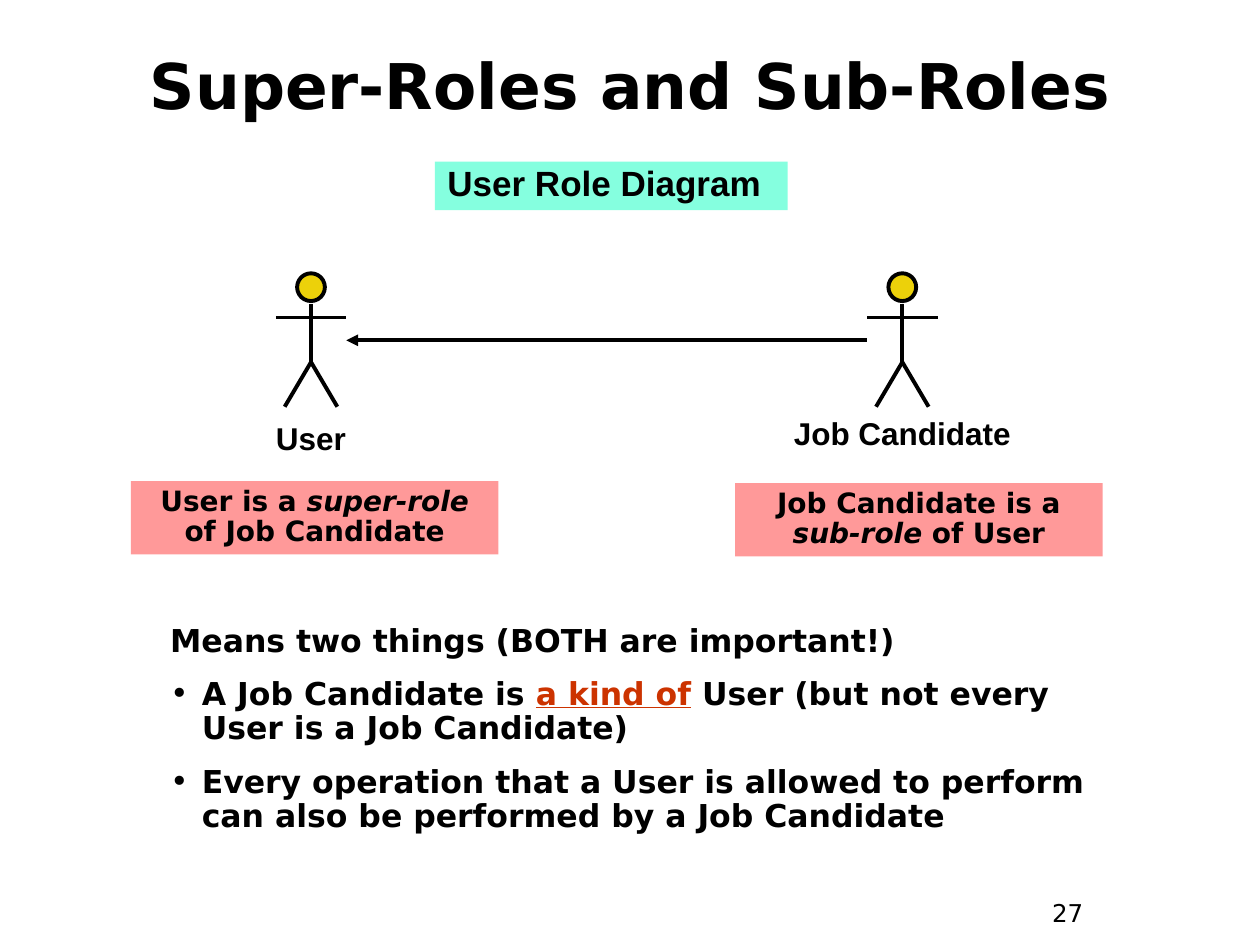
from lxml.etree import SubElement
from pptx import Presentation
from pptx.dml.color import RGBColor
from pptx.enum.shapes import MSO_CONNECTOR, MSO_SHAPE
from pptx.enum.text import MSO_ANCHOR, MSO_AUTO_SIZE, PP_ALIGN
from pptx.oxml.ns import qn
from pptx.util import Cm, Pt

BLACK = "000000"
SANS = "DejaVu Sans"
ARROW_Y = 6.86
ARM_REACH = 0.71


def color(value):
    return RGBColor.from_string(value)


def add_run(paragraph, text, size, font=SANS, bold=True, ink=BLACK, italic=False, underline=False):
    run = paragraph.add_run()
    run.text = text
    run.font.name = font
    run.font.size = Pt(size)
    run.font.bold = bold
    run.font.italic = italic
    run.font.underline = underline
    run.font.color.rgb = color(ink)


def set_frame(shape, anchor=MSO_ANCHOR.TOP, auto_size=MSO_AUTO_SIZE.NONE):
    frame = shape.text_frame
    frame.word_wrap = True
    frame.auto_size = auto_size
    frame.vertical_anchor = anchor
    frame.margin_left = frame.margin_right = Cm(0.25)
    frame.margin_top = frame.margin_bottom = Cm(0.13)
    return frame


def add_text(shapes, left, top, width, height, runs, size, font=SANS, bold=True,
             align=PP_ALIGN.CENTER, spacing=0.9, fill=None):
    box = (Cm(left), Cm(top), Cm(width), Cm(height))
    if fill:
        shape = shapes.add_shape(MSO_SHAPE.RECTANGLE, *box)
        shape.shadow.inherit = False
        shape.fill.solid()
        shape.fill.fore_color.rgb = color(fill)
        shape.line.fill.background()
    else:
        shape = shapes.add_textbox(*box)
    frame = set_frame(shape, auto_size=MSO_AUTO_SIZE.SHAPE_TO_FIT_TEXT)
    paragraph = frame.paragraphs[0]
    paragraph.alignment = align
    paragraph.line_spacing = spacing
    for text, style in runs:
        add_run(paragraph, text, size, font, bold, **style)


def add_line(shapes, x1, y1, x2, y2, arrow=False):
    line = shapes.add_connector(MSO_CONNECTOR.STRAIGHT, Cm(x1), Cm(y1), Cm(x2), Cm(y2))
    line.line.color.rgb = color(BLACK)
    line.line.width = Pt(2.25)
    properties = line._element.spPr
    if arrow:
        SubElement(properties.find(qn("a:ln")), qn("a:headEnd"), type="triangle")
    SubElement(properties, qn("a:effectLst"))


def add_actor(slide, center, name, label_top, label_width):
    shapes = slide.shapes.add_group_shape().shapes
    diameter, hip, foot = 0.56, 7.3, 8.2
    head = shapes.add_shape(MSO_SHAPE.OVAL, Cm(center - diameter / 2), Cm(5.51),
                            Cm(diameter), Cm(diameter))
    head.shadow.inherit = False
    head.fill.solid()
    head.fill.fore_color.rgb = color("ECD10A")
    head.line.color.rgb = color(BLACK)
    head.line.width = Pt(2.25)
    add_line(shapes, center, 6.12, center, hip)
    for side in (-1, 1):
        add_line(shapes, center + side * 0.53, foot, center, hip)
    add_line(shapes, center - ARM_REACH, 6.4, center + ARM_REACH, 6.4)
    add_text(shapes, center - label_width / 2, label_top, label_width, 0.91,
             [(name, {})], 18, "Arial", spacing=0.85)


def add_title(slide, text):
    title = slide.shapes.title
    title.left, title.top, title.width, title.height = Cm(0.85), Cm(0.64), Cm(23.7), Cm(2.1)
    paragraph = set_frame(title, MSO_ANCHOR.MIDDLE).paragraphs[0]
    paragraph.alignment = PP_ALIGN.CENTER
    add_run(paragraph, text, 36)


def add_bullet(paragraph):
    properties = paragraph._p.get_or_add_pPr()
    SubElement(SubElement(properties, qn("a:buClr")), qn("a:srgbClr"), val=BLACK)
    SubElement(properties, qn("a:buFont"), typeface=SANS)
    SubElement(properties, qn("a:buChar"), char="•")


def add_meaning(slide, items):
    shape = slide.shapes.add_textbox(Cm(3.18), Cm(12.47), Cm(19.89), Cm(4.5))
    frame = set_frame(shape)
    for index, runs in enumerate(items):
        paragraph = frame.add_paragraph() if index else frame.paragraphs[0]
        paragraph.line_spacing = 0.9
        properties = paragraph._p.get_or_add_pPr()
        properties.set("marL", str(Cm(0.64)))
        properties.set("indent", str(-Cm(0.64)))
        if index:
            paragraph.space_before = Pt(11.2)
            add_bullet(paragraph)
        for text, style in runs:
            add_run(paragraph, text, 18, **style)


def main():
    presentation = Presentation()
    presentation.slide_width, presentation.slide_height = Cm(25.4), Cm(19.05)
    slide = presentation.slides.add_slide(presentation.slide_layouts[5])
    shapes = slide.shapes
    user_x, candidate_x = 6.27, 18.19
    italic = {"italic": True}

    add_title(slide, "Super-Roles and Sub-Roles")
    add_actor(slide, candidate_x, "Job Candidate", 8.33, 5.08)
    add_actor(slide, user_x, "User", 8.43, 3.81)
    add_line(shapes, user_x + ARM_REACH, ARROW_Y, candidate_x - ARM_REACH, ARROW_Y, arrow=True)
    add_meaning(slide, [
        [("Means two things (BOTH are important!)", {})],
        [("A Job Candidate is ", {}),
         ("a kind of", {"ink": "CC3300", "underline": True}),
         (" User (but not every User is a Job Candidate)", {})],
        [("Every operation that a User is allowed to perform can also be performed "
          "by a Job Candidate", {})],
    ])
    add_text(shapes, 8.77, 3.26, 7.11, 0.98, [("User Role Diagram", {})], 20, "Arial",
             align=PP_ALIGN.LEFT, spacing=0.85, fill="85FFDF")
    notes = [
        (2.64, 9.7, [("User is a ", {}), ("super-role", italic), (" of Job Candidate", {})]),
        (14.82, 9.74, [("Job Candidate is a ", {}), ("sub-role", italic), (" of User", {})]),
    ]
    for left, top, runs in notes:
        add_text(shapes, left, top, 7.41, 1.48, runs, 16, fill="FF9999")
    add_text(shapes, 20.96, 17.98, 1.91, 0.94, [("27", {})], 14, bold=False,
             align=PP_ALIGN.LEFT, spacing=1.0)
    presentation.save("out.pptx")


if __name__ == "__main__":
    main()
